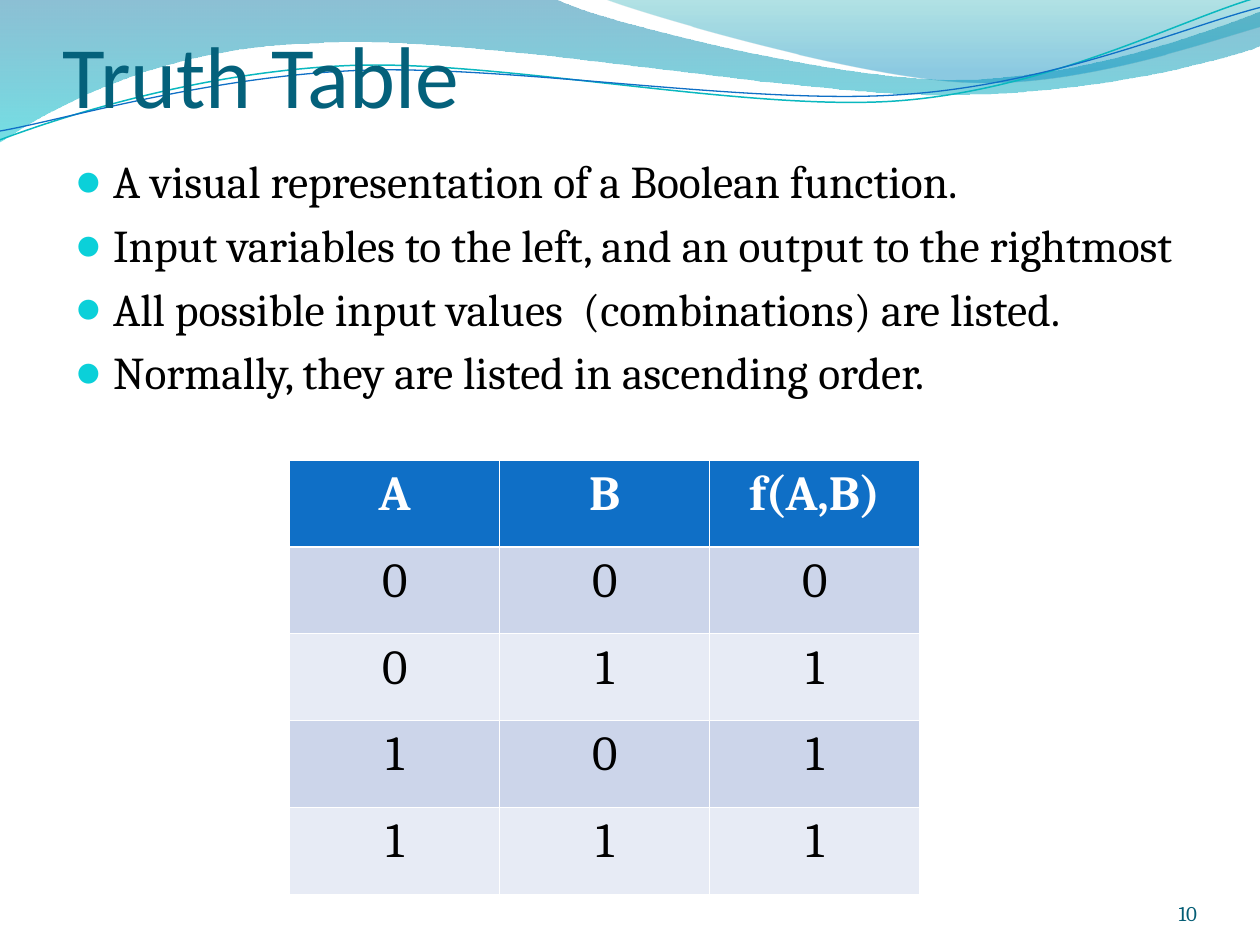
import dataclasses
import math

import lxml.etree
import pptx
import pptx.dml.color
import pptx.enum.text
import pptx.oxml.ns
import pptx.util

Cm = pptx.util.Cm
Pt = pptx.util.Pt
RGB = pptx.dml.color.RGBColor.from_string
qn = pptx.oxml.ns.qn
ALIGN = pptx.enum.text.PP_ALIGN
ANCHOR = pptx.enum.text.MSO_ANCHOR


@dataclasses.dataclass(frozen=True)
class Theme:
    heading_font: str = "Calibri"
    body_font: str = "Cambria"
    title_size: float = 50
    body_size: float = 26
    table_size: float = 28
    number_size: float = 12
    title: str = "04617B"
    text: str = "000000"
    number: str = "045D75"
    bullet: str = "0BD0D9"
    header: str = "0F6FC6"
    white: str = "FFFFFF"
    bands: tuple = ("CCD5EA", "E7EBF5")
    wide_wave: tuple = ((0, "0074A1", 45), (1, "00C6CF", 55))
    right_wave: tuple = ((0, "00A1A9", 30), (0.8, "008BBF", 45))
    teal_line: str = "0AB8BF"
    blue_line: str = "0F6FC6"


theme = Theme()


def write(p, text, size=theme.body_size, color=theme.text,
          font=theme.body_font, bold=False, align=ALIGN.LEFT):
    p.alignment = align
    r = p.add_run()
    r.text = text
    r.font.size = Pt(size)
    r.font.name = font
    r.font.bold = bold
    r.font.color.rgb = RGB(color)


def add_wave(shapes, start, parts, close, tilt=0, center=(0, 0)):
    points = [start] + [part[i:i + 2] for part in parts for i in range(0, len(part), 2)]
    cos, sin = math.cos(math.radians(tilt)), math.sin(math.radians(tilt))
    cx, cy = center
    unit = Cm(2.54)
    points = [((cx + (x - cx) * cos - (y - cy) * sin) * unit,
               (cy + (x - cx) * sin + (y - cy) * cos) * unit) for x, y in points]
    builder = shapes.build_freeform(*points[0], scale=1.0)
    builder.add_line_segments(points[1:], close=close)
    sp = builder.convert_to_shape()
    segments = iter(list(sp._element.iter(qn("a:lnTo"))))
    for part in parts:
        first = next(segments)
        if len(part) == 6:
            curve = lxml.etree.Element(qn("a:cubicBezTo"))
            first.addprevious(curve)
            for segment in (first, next(segments), next(segments)):
                curve.append(segment[0])
                segment.getparent().remove(segment)
    sp.rotation = -tilt
    sp.shadow.inherit = False
    return sp


prs = pptx.Presentation()
prs.slide_width = Cm(25.4)
prs.slide_height = Cm(19.05)
s = prs.slides.add_slide(prs.slide_layouts[6])

filled_waves = [
    ((0, 0), [(4.4, -0.01), (4.76, 0.17, 6.64, 0.63, 7.58, 0.63),
              (8.53, 0.63, 9.58, 0.26, 10, 0.09), (10.01, 0.36),
              (9.83, 0.44, 8.7, 0.76, 7.46, 0.75), (6.22, 0.75, 3.82, 0.28, 2.57, 0.34),
              (1.29, 0.36, 0.46, 0.83, -0.01, 1.13), (0, 0)], theme.wide_wave),
    ((4.79, -0.01), [(5.09, 0.11, 6.82, 0.62, 7.69, 0.65),
                     (8.56, 0.69, 9.61, 0.32, 10, 0.21), (10, 0), (4.79, -0.01)],
     theme.right_wave),
]
for start, parts, stops in filled_waves:
    sp = add_wave(s.shapes, start, parts, close=True)
    sp.line.fill.background()
    sp.fill.gradient()
    sp.fill.gradient_angle = 270
    for stop, (position, color, _) in zip(sp.fill.gradient_stops, stops):
        stop.position = position
        stop.color.rgb = RGB(color)
    for clr, (_, _, opacity) in zip(sp._element.spPr.iter(qn("a:srgbClr")), stops):
        lxml.etree.SubElement(clr, qn("a:alpha"), val=str(opacity * 1000))

line_waves = [
    ((0, 1.11), [(0.48, 0.93, 1.58, 0.57, 2.77, 0.52), (3.95, 0.47, 5.93, 0.89, 7.13, 0.8),
                 (8.33, 0.71, 9.38, 0.15, 9.98, -0.02)], (4.99, 0.57), theme.teal_line, 0.85),
    ((0, 1.04), [(0.47, 0.96, 1.64, 0.61, 2.83, 0.56), (4.03, 0.51, 5.97, 0.84, 7.17, 0.75),
                 (8.36, 0.67, 9.41, 0.21, 10, 0.06)], (5, 0.59), theme.blue_line, 0.75),
]
for start, parts, center, color, width in line_waves:
    sp = add_wave(s.shapes, start, parts, close=False, tilt=2.7, center=center)
    sp.fill.background()
    sp.line.color.rgb = RGB(color)
    sp.line.width = Pt(width)

tf = s.shapes.add_textbox(Cm(1.27), 0, Cm(22.86), Cm(2.54)).text_frame
tf.word_wrap = True
tf.vertical_anchor = ANCHOR.BOTTOM
tf.margin_left = tf.margin_right = tf.margin_bottom = 0
write(tf.paragraphs[0], "Truth Table", size=theme.title_size,
      color=theme.title, font=theme.heading_font)

points = [
    "A visual representation of a Boolean function.",
    "Input variables to the left, and an output to the rightmost",
    "All possible input values  (combinations) are listed.",
    "Normally, they are listed in ascending order.",
]
tf = s.shapes.add_textbox(Cm(1.27), Cm(2.97), Cm(24.33), Cm(14.6)).text_frame
tf.word_wrap = True
for i, text in enumerate(points):
    p = tf.add_paragraph() if i else tf.paragraphs[0]
    write(p, text)
    p.space_before = Pt(0.2 * theme.body_size)
    pPr = p._p.get_or_add_pPr()
    pPr.set("marL", str(Cm(0.76)))
    pPr.set("indent", str(-Cm(0.76)))
    clr = lxml.etree.SubElement(pPr, qn("a:buClr"))
    lxml.etree.SubElement(clr, qn("a:srgbClr"), val=theme.bullet)
    lxml.etree.SubElement(pPr, qn("a:buSzPct"), val="95000")
    lxml.etree.SubElement(pPr, qn("a:buFont"), typeface=theme.heading_font)
    lxml.etree.SubElement(pPr, qn("a:buChar"), char="●")

rows = [("A", "B", "f(A,B)")] + [(a, b, a | b) for a in (0, 1) for b in (0, 1)]
table = s.shapes.add_table(len(rows), 3, Cm(5.84), Cm(9.27), Cm(12.7), Cm(8.76)).table
for i, row in enumerate(rows):
    header = i == 0
    for j, value in enumerate(row):
        cell = table.cell(i, j)
        cell.fill.solid()
        cell.fill.fore_color.rgb = RGB(theme.header if header else theme.bands[(i - 1) % 2])
        write(cell.text_frame.paragraphs[0], str(value), size=theme.table_size,
              color=theme.white if header else theme.text, bold=header, align=ALIGN.CENTER)

tf = s.shapes.add_textbox(Cm(22.02), Cm(17.65), Cm(2.11), Cm(1.02)).text_frame
tf.word_wrap = True
tf.vertical_anchor = ANCHOR.BOTTOM
tf.margin_left = tf.margin_right = tf.margin_top = tf.margin_bottom = 0
write(tf.paragraphs[0], "10", size=theme.number_size, color=theme.number, align=ALIGN.RIGHT)

prs.save("out.pptx")
